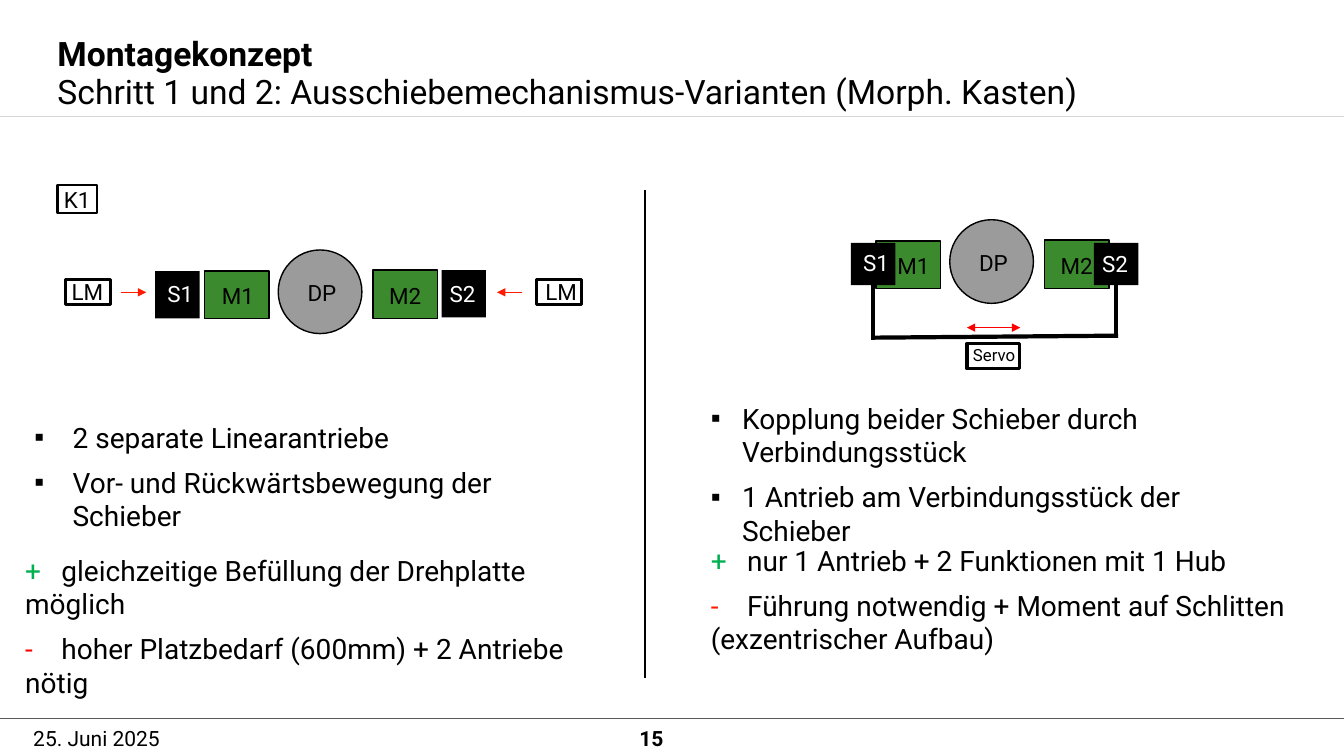
import pptx
import pptx.util
import pptx.dml.color
import pptx.enum.shapes
import pptx.enum.text
import pptx.oxml.ns
import lxml.etree

Inches = pptx.util.Inches
Pt = pptx.util.Pt
RGBColor = pptx.dml.color.RGBColor
SHAPE = pptx.enum.shapes.MSO_SHAPE
ALIGN = pptx.enum.text.PP_ALIGN
ANCHOR = pptx.enum.text.MSO_ANCHOR
qn = pptx.oxml.ns.qn

BLACK = RGBColor(0x00, 0x00, 0x00)
WHITE = RGBColor(0xFF, 0xFF, 0xFF)
GREY = RGBColor(0x9B, 0x9B, 0x9B)
FOOTER_GREY = RGBColor(0x59, 0x59, 0x59)
HEADER_GREY = RGBColor(0xD6, 0xD6, 0xD6)
MODULE_GREEN = RGBColor(0x3C, 0x8A, 0x2E)
PLUS_GREEN = RGBColor(0x00, 0xB0, 0x50)
ARROW_RED = RGBColor(0xFF, 0x1A, 0x00)
RED = RGBColor(0xFF, 0x00, 0x00)
FONT = "Roboto"


def place(shape, box):
    shape.left, shape.top, shape.width, shape.height = map(Inches, box)


def prepare_frame(shape, anchor=ANCHOR.TOP):
    frame = shape.text_frame
    frame.margin_left = frame.margin_right = 0
    frame.margin_top = frame.margin_bottom = 0
    frame.word_wrap = True
    frame.auto_size = pptx.enum.text.MSO_AUTO_SIZE.NONE
    frame.vertical_anchor = anchor
    return frame


def add_run(paragraph, text, size, color=BLACK, bold=False):
    run = paragraph.add_run()
    run.text = text
    run.font.name = FONT
    run.font.size = Pt(size)
    run.font.bold = bold
    run.font.color.rgb = color


def set_spacing(paragraph, after=0, align=ALIGN.LEFT):
    paragraph.alignment = align
    paragraph.line_spacing = 1.0
    paragraph.space_before = Pt(0)
    paragraph.space_after = Pt(after)


def next_paragraph(frame, index):
    return frame.add_paragraph() if index else frame.paragraphs[0]


def set_bullet(paragraph, char=None, indent=0.0):
    props = paragraph._p.get_or_add_pPr()
    props.set("marL", str(Inches(indent)))
    props.set("indent", str(-Inches(indent)))
    if char:
        lxml.etree.SubElement(props, qn("a:buFont")).set("typeface", "Arial")
        lxml.etree.SubElement(props, qn("a:buChar")).set("char", char)
    else:
        lxml.etree.SubElement(props, qn("a:buNone"))


def fill_heading(placeholder, box, text, bold):
    place(placeholder, box)
    paragraph = prepare_frame(placeholder).paragraphs[0]
    set_bullet(paragraph)
    set_spacing(paragraph)
    add_run(paragraph, text, 24, bold=bold)


def fill_list(placeholder, box, indent, items):
    place(placeholder, box)
    frame = prepare_frame(placeholder)
    for index, item in enumerate(items):
        paragraph = next_paragraph(frame, index)
        set_bullet(paragraph, "▪", indent)
        set_spacing(paragraph, 8)
        add_run(paragraph, item, 20)


def add_text(shapes, box, text, size=16, color=BLACK, bold=False, align=ALIGN.LEFT):
    label = shapes.add_textbox(*map(Inches, box))
    paragraph = prepare_frame(label).paragraphs[0]
    set_spacing(paragraph, align=align)
    add_run(paragraph, text, size, color, bold)


def add_evaluation(shapes, box, judgements):
    frame = prepare_frame(shapes.add_textbox(*map(Inches, box)))
    for index, (sign, color, text) in enumerate(judgements):
        paragraph = next_paragraph(frame, index)
        tabs = lxml.etree.SubElement(paragraph._p.get_or_add_pPr(), qn("a:tabLst"))
        lxml.etree.SubElement(tabs, qn("a:tab"), pos=str(Inches(0.36)), algn="l")
        set_spacing(paragraph, 8)
        add_run(paragraph, sign + "\t", 20, color)
        add_run(paragraph, text, 20)


def add_block(shapes, box, fill=None, line_width=0, kind=SHAPE.RECTANGLE):
    block = shapes.add_shape(kind, *map(Inches, box))
    block.shadow.inherit = False
    if fill is None:
        block.fill.background()
    else:
        block.fill.solid()
        block.fill.fore_color.rgb = fill
    if line_width:
        block.line.color.rgb = BLACK
        block.line.width = Pt(line_width)
    else:
        block.line.fill.background()
    return block


def add_line(shapes, start, end, color=BLACK, width=0.5, arrows=()):
    line = shapes.add_connector(
        pptx.enum.shapes.MSO_CONNECTOR.STRAIGHT, *map(Inches, start + end))
    line.line.color.rgb = color
    line.line.width = Pt(width)
    for arrow in arrows:
        lxml.etree.SubElement(line.line._get_or_add_ln(), qn("a:" + arrow), type="triangle")
    lxml.etree.SubElement(line._element.spPr, qn("a:effectLst"))
    return line


def add_label(shapes, left, top, text, color=BLACK):
    add_text(shapes, (left, top, 0.41, 0.27), text, color=color)


def add_turntable(shapes, left, top):
    add_block(shapes, (left, top, 0.83, 0.83), GREY, 1, SHAPE.OVAL)
    add_label(shapes, left + 0.29, top + 0.29, "DP")
    for offset, down, height in ((-0.73, 0.21, 0.47), (0.94, 0.2, 0.48)):
        add_block(shapes, (left + offset, top + down, 0.64, height), MODULE_GREEN, 1)


def draw_separate_drives(shapes):
    add_turntable(shapes, 2.76, 2.48)
    add_block(shapes, (1.54, 2.69, 0.44, 0.47), BLACK)
    add_block(shapes, (4.38, 2.68, 0.44, 0.47), BLACK)
    for start, end in ((1.2, 1.45), (5.18, 4.93)):
        add_line(shapes, (start, 2.9), (end, 2.9), ARROW_RED, arrows=("tailEnd",))
    for left, label_left in ((0.65, 0.71), (5.32, 5.41)):
        add_block(shapes, (left, 2.77, 0.45, 0.25), line_width=2.25)
        add_label(shapes, label_left, 2.76, "LM")
    add_label(shapes, 2.2, 2.8, "M1")
    add_label(shapes, 3.86, 2.8, "M2")
    add_label(shapes, 1.66, 2.78, "S1", WHITE)
    add_label(shapes, 4.46, 2.78, "S2", WHITE)
    concept = add_block(shapes, (0.57, 1.84, 0.39, 0.27), line_width=1.5)
    paragraph = prepare_frame(concept, ANCHOR.MIDDLE).paragraphs[0]
    set_spacing(paragraph, align=ALIGN.CENTER)
    add_run(paragraph, "K1", 16)


def draw_coupled_drive(shapes):
    add_turntable(shapes, 9.42, 2.18)
    for left, rod_end in ((8.44, 3.35), (10.85, 3.33)):
        slider = add_block(shapes, (left, 2.41, 0.44, 0.42), BLACK)
        middle = left + 0.22
        rod = add_line(shapes, (middle, 2.83), (middle, rod_end), width=3)
        rod.begin_connect(slider, 2)
    add_label(shapes, 8.9, 2.5, "M1")
    add_label(shapes, 10.52, 2.5, "M2")
    add_label(shapes, 8.56, 2.47, "S1", WHITE)
    add_label(shapes, 10.93, 2.48, "S2", WHITE)
    add_line(shapes, (8.64, 3.35), (11.09, 3.33), width=3)
    add_line(shapes, (9.59, 3.25), (10.12, 3.25), RED, arrows=("headEnd", "tailEnd"))
    add_block(shapes, (9.59, 3.41, 0.52, 0.25), line_width=2.25)
    add_text(shapes, (9.65, 3.42, 0.54, 0.2), "Servo", 12)


def main():
    deck = pptx.Presentation()
    deck.slide_width, deck.slide_height = Inches(13.33), Inches(7.5)
    slide = deck.slides.add_slide(deck.slide_layouts.get_by_name("Comparison"))
    shapes = slide.shapes
    parts = {part.placeholder_format.idx: part for part in slide.placeholders}
    unused = parts[3]._element
    unused.getparent().remove(unused)

    add_line(shapes, (0, 7.13), (13.33, 7.13), FOOTER_GREY)
    add_line(shapes, (0, 1.15), (13.33, 1.15), HEADER_GREY)
    fill_heading(parts[0], (0.57, 0.33, 10.65, 0.4), "Montagekonzept", True)
    fill_heading(parts[1], (0.57, 0.7, 10.65, 0.4),
                 "Schritt 1 und 2: Ausschiebemechanismus-Varianten (Morph. Kasten)", False)
    add_text(shapes, (0.33, 7.2, 1.5, 0.25), "25. Juni 2025", 15)
    add_text(shapes, (6.16, 7.2, 0.42, 0.25), "15", 15, bold=True, align=ALIGN.RIGHT)
    add_line(shapes, (6.4, 1.89), (6.4, 6.73), width=1.5)

    draw_separate_drives(shapes.add_group_shape().shapes)
    draw_coupled_drive(shapes.add_group_shape().shapes)

    fill_list(parts[2], (0.34, 4.17, 5.66, 1.2), 0.38, (
        "2 separate Linearantriebe",
        "Vor- und Rückwärtsbewegung der Schieber"))
    fill_list(parts[4], (7.05, 3.98, 5.57, 1.4), 0.31, (
        "Kopplung beider Schieber durch Verbindungsstück",
        "1 Antrieb am Verbindungsstück der Schieber"))
    add_evaluation(shapes, (0.25, 5.49, 5.84, 1.5), (
        ("+", PLUS_GREEN, "gleichzeitige Befüllung der Drehplatte möglich"),
        ("-", RED, "hoher Platzbedarf (600mm) + 2 Antriebe nötig")))
    add_evaluation(shapes, (7.05, 5.39, 6.03, 1.12), (
        ("+", PLUS_GREEN, "nur 1 Antrieb + 2 Funktionen mit 1 Hub"),
        ("-", ARROW_RED, "Führung notwendig + Moment auf Schlitten (exzentrischer Aufbau)")))
    deck.save("out.pptx")


if __name__ == "__main__":
    main()
